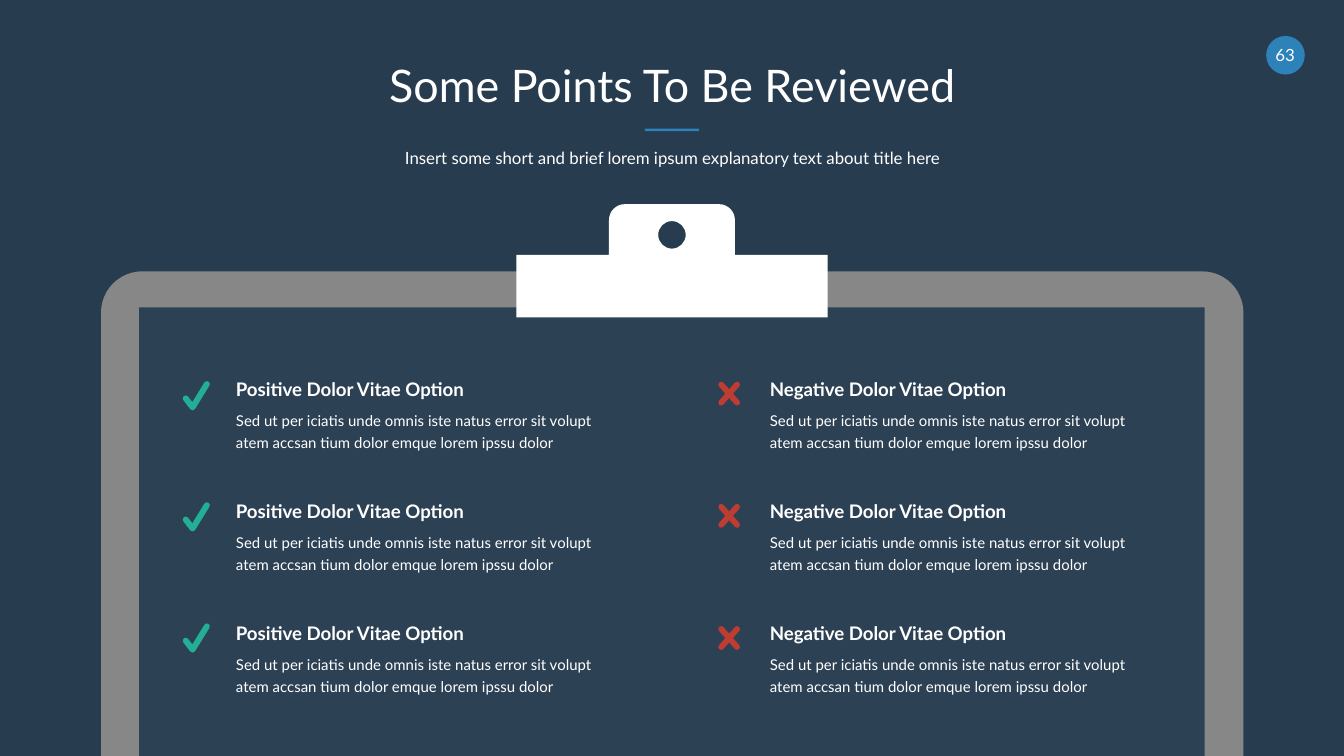
import math
from dataclasses import dataclass

import pptx
import pptx.dml.color
import pptx.enum.shapes
import pptx.enum.text
import pptx.oxml.ns
import pptx.util
from pptx.util import Cm

Point = tuple[float, float]
Step = list[Point]  # one point for a line, three for a cubic curve
Kind = pptx.enum.shapes.MSO_SHAPE
Align = pptx.enum.text.PP_ALIGN

FONT = "Lato"
WHITE, NAVY, PANEL = "FFFFFF", "283C50", "2D4155"
BLUE, GREY, GREEN, RED = "2D82B9", "878787", "23AF96", "BE3C32"
BODY = ("Sed ut per iciatis unde omnis iste natus error sit volupt "
        "atem accsan tium dolor emque lorem ipssu dolor")
ROWS, ROW_PITCH = 3, 2.31
HEADING_TOP, BODY_TOP = 7.14, 7.69


@dataclass
class Box:
    """Position and size in centimetres."""
    left: float
    top: float
    width: float
    height: float

    def lengths(self) -> tuple:
        return Cm(self.left), Cm(self.top), Cm(self.width), Cm(self.height)


@dataclass
class Column:
    heading: str
    text_left: float
    mark: list[Step]
    mark_centre: Point
    mark_pitch: float
    color: str


def paint(fill, color: str) -> None:
    fill.solid()
    fill.fore_color.rgb = pptx.dml.color.RGBColor.from_string(color)


def finish(shape, color: str) -> None:
    """Give a shape a flat fill without line or shadow."""
    paint(shape.fill, color)
    shape.line.fill.background()
    shape.shadow.inherit = False


def add_block(page, kind, box: Box, color: str):
    shape = page.shapes.add_shape(kind, *box.lengths())
    finish(shape, color)
    return shape


def add_text(page, box: Box, text: str, size: float, bold: bool = False,
             align=Align.LEFT, spacing: float = 1.0) -> None:
    frame = page.shapes.add_textbox(*box.lengths()).text_frame
    frame.word_wrap = True
    frame.margin_left = frame.margin_right = 0
    frame.margin_top = frame.margin_bottom = 0
    para = frame.paragraphs[0]
    para.alignment = align
    para.line_spacing = spacing
    span = para.add_run()
    span.text = text
    span.font.name = FONT
    span.font.size = pptx.util.Pt(size)
    span.font.bold = bold
    paint(span.font.fill, WHITE)


def arc(centre: Point, radius: float, start: float, end: float) -> list[Step]:
    """A line to the arc's start, then curves of at most a quarter turn."""
    pieces = math.ceil(round(abs(end - start)) / 90)
    turn = math.radians(end - start) / pieces
    pull = 4 / 3 * math.tan(turn / 4)

    def spot(angle: float, lean: float = 0) -> Point:
        cos, sin = math.cos(angle), math.sin(angle)
        return (centre[0] + radius * (cos - lean * sin),
                centre[1] + radius * (sin + lean * cos))

    angles = [math.radians(start) + turn * i for i in range(pieces + 1)]
    return [[spot(angles[0])]] + [
        [spot(angle, pull), spot(angle + turn, -pull), spot(angle + turn)]
        for angle in angles[:-1]]


def add_outline(page, contours: list[list[Step]], color: str,
                centre: Point = (0, 0)) -> None:
    """Draw closed contours as one shape; an inner contour is a hole."""
    builder = None
    for contour in contours:
        points = [(Cm(centre[0] + x), Cm(centre[1] + y))
                  for step in contour for x, y in step]
        if builder is None:
            builder = page.shapes.build_freeform(*points[0], scale=1.0)
        else:
            builder.move_to(*points[0])
        builder.add_line_segments(points[1:], close=True)
    shape = builder.convert_to_shape()
    finish(shape, color)

    # Merge the three lines of each curve into one cubic segment.
    lines = iter(list(shape._element.iter(pptx.oxml.ns.qn("a:lnTo"))))
    for contour in contours:
        for step in contour[1:]:
            first, *others = [next(lines) for _ in step]
            if others:
                first.tag = pptx.oxml.ns.qn("a:cubicBezTo")
            for line in others:
                first.append(line[0])
                line.getparent().remove(line)


def check_mark() -> list[Step]:
    """A bent stroke with round ends, around its centre."""
    radius = 0.056
    short_end, bend, long_end = (-0.2, 0.05), (-0.07, 0.22), (0.2, -0.22)
    short, long = (
        math.degrees(math.atan2(end[1] - bend[1], end[0] - bend[0])) % 360
        for end in (short_end, long_end))
    reach = radius / math.sin(math.radians((long - short) / 2))
    middle = math.radians((short + long) / 2)
    notch = (bend[0] + reach * math.cos(middle),
             bend[1] + reach * math.sin(middle))
    return [*arc(short_end, radius, short - 90, short + 90), [notch],
            *arc(long_end, radius, long - 90, long + 90),
            *arc(bend, radius, long - 270, short - 90)]


def cross_mark() -> list[Step]:
    """Four arms with round ends, around their centre."""
    radius, reach_x, reach_y = 0.055, 0.15, 0.17
    slope = math.atan2(reach_y, reach_x)
    side, tip = radius / math.sin(slope), radius / math.cos(slope)
    steps = []
    for sign_x, sign_y, notch in ((1, 1, (0, tip)), (-1, 1, (-side, 0)),
                                  (-1, -1, (0, -tip)), (1, -1, (side, 0))):
        end = (sign_x * reach_x, sign_y * reach_y)
        angle = math.degrees(math.atan2(end[1], end[0]))
        steps += [*arc(end, radius, angle - 90, angle + 90), [notch]]
    return steps


def add_clipboard(page) -> None:
    board = Box(1.91, 5.13, 21.59, 9.16)
    frame = add_block(page, Kind.ROUND_2_SAME_RECTANGLE, board, GREY)
    frame.adjustments[0] = 0.78 / board.height
    add_block(page, Kind.RECTANGLE, Box(2.63, 5.81, 20.14, 8.48), PANEL)

    middle, tab, bar, corner = 12.7, 1.19, 2.94, 0.3
    top, shoulder, bottom = 3.86, 4.82, 6.0
    clip = [
        *arc((middle - tab + corner, top + corner), corner, 180, 270),
        *arc((middle + tab - corner, top + corner), corner, 270, 360),
        [(middle + tab, shoulder)], [(middle + bar, shoulder)],
        [(middle + bar, bottom)], [(middle - bar, bottom)],
        [(middle - bar, shoulder)], [(middle - tab, shoulder)]]
    hole = arc((middle, 4.44), 0.26, 360, 0)
    add_outline(page, [clip, hole], WHITE)


def add_column(page, column: Column) -> None:
    x, y = column.mark_centre
    for row in range(ROWS):
        drop = row * ROW_PITCH
        add_outline(page, [column.mark], column.color,
                    (x, y + row * column.mark_pitch))
        add_text(page, Box(column.text_left, HEADING_TOP + drop, 6.86, 0.43),
                 column.heading, 10, bold=True)
        add_text(page, Box(column.text_left, BODY_TOP + drop, 6.86, 0.81),
                 BODY, 8, spacing=1.25)


def main() -> None:
    deck = pptx.Presentation()
    deck.slide_width, deck.slide_height = Cm(25.4), Cm(14.29)
    page = deck.slides.add_slide(deck.slide_layouts[6])
    paint(page.background.fill, NAVY)

    add_block(page, Kind.RECTANGLE, Box(12.19, 2.43, 1.02, 0.05), BLUE)
    add_block(page, Kind.OVAL, Box(23.93, 0.68, 0.73, 0.73), BLUE)
    add_text(page, Box(23.97, 0.84, 0.64, 0.38), "63", 9, align=Align.CENTER)
    add_text(page, Box(1.91, 1.09, 21.59, 1.12), "Some Points To Be Reviewed",
             24, align=Align.CENTER)
    add_text(page, Box(1.91, 2.79, 21.59, 0.43),
             "Insert some short and brief lorem ipsum explanatory text "
             "about title here", 9, align=Align.CENTER)

    add_clipboard(page)
    for column in (
            Column("Positive Dolor Vitae Option", 4.46, check_mark(),
                   (3.71, 7.48), 2.29, GREEN),
            Column("Negative Dolor Vitae Option", 14.55, cross_mark(),
                   (13.78, 7.44), 2.31, RED)):
        add_column(page, column)
    deck.save("out.pptx")


if __name__ == "__main__":
    main()
